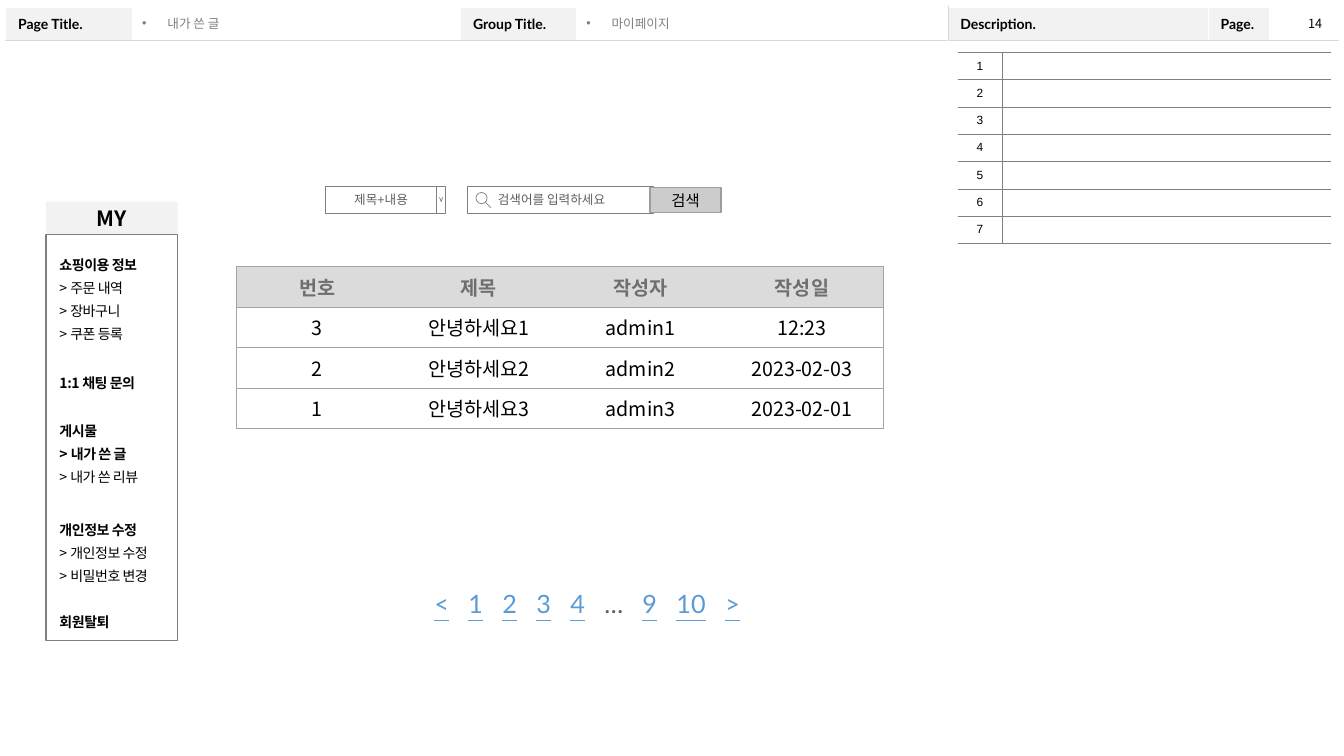
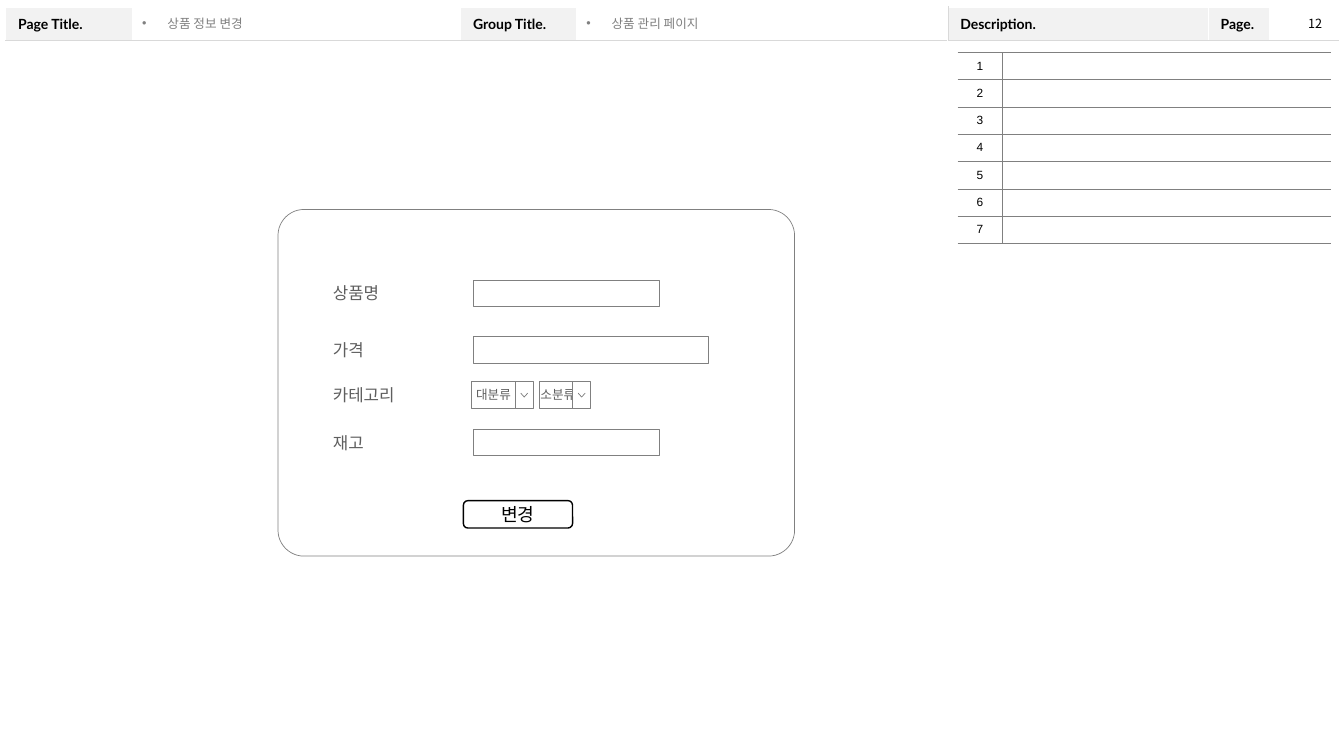
from lxml import etree
from pptx import Presentation
from pptx.dml.color import RGBColor
from pptx.enum import shapes as sh, text as tx
from pptx.oxml.ns import qn
from pptx.util import Pt

THEME = {
    "ink": "000000", "text": "5F5F5F", "soft": "808080", "head": "6F6F6F",
    "link": "5B9BD5", "pale": "F2F2F2", "rule": "D9D9D9", "white": "FFFFFF",
    "edge": "A5A5A5", "row": "DBDBDB",
    "lato": "Lato", "arial": "Arial", "noto": "Noto Sans CJK KR",
    "tiny": 8.5, "small": 9, "menu": 10, "btn": 11, "label": 12,
    "key": 13, "cell": 14, "logo": 15, "pager": 18,
}
T = THEME
# Each look: fill, line colour, line width
LOOKS = {
    "field": (T["white"], T["soft"], 0.5),
    "band": (T["pale"], None, 0),
    "frame": (None, "7F7F7F", 1),
    "btn": ("CCCCCC", "9D9D9D", 1),
    "key": (None, T["ink"], 1),
}
RECT, ROUND, OVAL = (sh.MSO_SHAPE.RECTANGLE, sh.MSO_SHAPE.ROUNDED_RECTANGLE,
                     sh.MSO_SHAPE.OVAL)
LEFT, MID = tx.PP_ALIGN.LEFT, tx.PP_ALIGN.CENTER
BASE = {"size": T["small"], "color": T["text"], "font": T["lato"],
        "bold": False, "underline": False, "track": 0, "align": LEFT,
        "pad": (0, 0, 0, 0), "lead": None, "wrap": True,
        "anchor": tx.MSO_ANCHOR.MIDDLE}


def write(frame, paras, hold=None, **opts):
    """Fill a frame; paras are lists of (text, changes); hold has the margins."""
    look = {**BASE, **opts}
    host = hold or frame
    for side, pad in zip(("left", "top", "right", "bottom"), look["pad"]):
        setattr(host, "margin_" + side, Pt(pad))
    host.vertical_anchor = look["anchor"]
    frame.word_wrap = look["wrap"]
    for i, runs in enumerate(paras):
        para = frame.paragraphs[0] if i == 0 else frame.add_paragraph()
        para.alignment = look["align"]
        if look["lead"]:
            para.line_spacing = look["lead"]
        for words, change in runs:
            form = {**look, **change}
            if not words:
                etree.SubElement(para._p, qn("a:endParaRPr"),
                                 sz=str(int(form["size"] * 100)))
                continue
            run = para.add_run()
            run.text = words
            vals = {"size": Pt(form["size"]), "name": form["font"],
                    "bold": form["bold"], "underline": form["underline"]}
            for key, val in vals.items():
                setattr(run.font, key, val)
            run.font.color.rgb = RGBColor.from_string(form["color"])
            props = run._r.get_or_add_rPr()
            etree.SubElement(props, qn("a:ea"), typeface=T["noto"])
            if form["track"]:
                props.set("spc", str(int(form["track"] * 100)))


def grid(slide, x, y, cols, rows, cell):
    """Add a table; cell(r, c) gives text, text format, fill and borders."""
    obj = slide.shapes.add_table(len(rows), len(cols), Pt(x), Pt(y),
                                 Pt(sum(cols)), Pt(sum(rows)))
    table = obj.table
    table.first_row = table.horz_banding = False
    for node in obj.element.iter(qn("a:tableStyleId")):
        node.text = "{2D5ABB26-0587-4C30-8999-92F81FD0307C}"
    for part, sizes in ((table.columns, cols), (table.rows, rows)):
        for item, size in zip(part, sizes):
            setattr(item, "width" if part is table.columns else "height",
                    Pt(size))
    for r in range(len(rows)):
        for c in range(len(cols)):
            words, form, fill, lines = cell(r, c)
            box = table.cell(r, c)
            write(box.text_frame, [[(words, {})]], box, **form)
            props = box._tc.get_or_add_tcPr()
            for side in "LRTB":
                if side in lines:
                    color, width = lines[side]
                    line = etree.SubElement(props, qn("a:ln" + side),
                                            w=str(Pt(width)))
                    solid = etree.SubElement(line, qn("a:solidFill"))
                    etree.SubElement(solid, qn("a:srgbClr"), val=color)
            if fill:
                box.fill.solid()
                box.fill.fore_color.rgb = RGBColor.from_string(fill)
            else:
                box.fill.background()
    return table


# Cells of the page header, the description list and the post list
HEADS = {0: "Page Title.", 2: "Group Title.", 4: "Description.", 5: "Page."}
POSTS = [("번호", "제목", "작성자", "작성일"),
         ("3", "안녕하세요1", "admin1", "12:23"),
         ("2", "안녕하세요2", "admin2", "2023-02-03"),
         ("1", "안녕하세요3", "admin3", "2023-02-01")]
RULE, BLANK = (T["rule"], 0.25), (T["white"], 1)
GREY, EDGE = (T["soft"], 0.25), (T["edge"], 0.5)


def_head = {"size": T["menu"], "color": T["ink"], "bold": True,
            "pad": (9, 4, 7, 4)}
def_list = {"size": T["tiny"], "color": T["ink"], "font": T["arial"],
            "align": MID, "pad": (7.2, 3, 7.2, 3)}
def_post = {"size": T["cell"], "font": T["noto"], "align": MID,
            "pad": (7.2, 3.6, 7.2, 3.6)}

head = lambda r, c: (
    "" if r else HEADS.get(c, ""), def_head,
    T["pale"] if r == 0 and c in HEADS else None,
    {"L": RULE if c == 4 else BLANK, "R": RULE if c == 3 else BLANK,
     "T": RULE if r else BLANK, "B": BLANK if r else RULE})
note = lambda r, c: (
    "" if c else str(r + 1), def_list, None,
    {"T": GREY, "B": GREY, "L" if c else "R": GREY})
post = lambda r, c: (
    POSTS[r][c],
    {**def_post, "bold": r == 0, "color": T["ink"] if r else T["head"]},
    None if r else T["row"],
    {"T": EDGE, "B": EDGE, **{k: EDGE for k, at in (("L", 0), ("R", 3))
                              if c == at}})

# Boxes of the list page: shape, look, place, text, text format
center = {"align": MID, "wrap": False}
board = [
    (RECT, "field", (232.6, 133.2, 79.2, 19), "제목+내용", center),
    (RECT, "field", (311.8, 133.2, 6.5, 19), "", {}),
    (RECT, "field", (334, 133.2, 133, 19), "검색어를 입력하세요",
     {"pad": (21.6, 0, 0, 0)}),
    (OVAL, "field", (340, 137.5, 8, 8), "", {}),
    (RECT, "btn", (464.4, 134, 50.6, 18), "검색",
     {**center, "size": T["btn"], "color": T["ink"]}),
    (RECT, "band", (33, 144, 94, 24), "MY",
     {**center, "size": T["logo"], "font": T["noto"], "bold": True,
      "color": T["ink"], "track": -0.1}),
    (RECT, "frame", (33, 167.6, 94, 290), "", {}),
]
marks = [[(314, 141), (315.2, 144), (316.2, 141)],
         [(346.6, 144.3), (350.6, 148.3)]]

# Boxes of the form page, row by row
form = [(ROUND, "field", (198.6, 149.6, 369, 247.6), "", {"turn": 0.075})]
for name, y, wide in (("상품명", 200, 133), ("가격", 240.4, 168),
                      ("카테고리", 272.6, 0), ("재고", 306.6, 133)):
    form.append((None, None, (232, y, 100, 19), name,
                 {"size": T["label"], "pad": (5.8, 0, 0, 0)}))
    if wide:
        form.append((RECT, "field", (338, y, wide, 19), "", {}))
arrows = []
for name, x, wide, tip in (("대분류", 337, 31, 368), ("소분류", 385.2, 26.6, 409)):
    form += [(RECT, "field", (x, 272.6, wide, 19), name, center),
             (RECT, "field", (tip, 272.6, 13, 19), "", {})]
    arrows.append([(tip + 4, 280.8), (tip + 6.5, 283.6), (tip + 9, 280.8)])
form.append((ROUND, "key", (331, 357.6, 78, 19.6), "변경",
             {**center, "size": T["key"], "color": T["ink"], "turn": 0.167}))

deck = Presentation()
deck.slide_width, deck.slide_height = Pt(960), Pt(540)
pages = [("내가 쓴 글", "마이페이지", "14", board, marks),
         ("상품 정보 변경", "상품 관리 페이지", "12", form, arrows)]
for title, group, number, boxes, strokes in pages:
    slide = deck.slides.add_slide(deck.slide_layouts[5])

    # Header band, with page and group names
    table = grid(slide, 4, 5, [91, 234, 83, 265, 186, 44, 49], [24, 480], head)
    for first, last in ((0, 3), (4, 6)):
        table.cell(1, first).merge(table.cell(1, last))
    names = ((slide.shapes.title, 94.4, 233, title),
             (slide.shapes.add_textbox(0, 0, 0, 0), 411.8, 262, group))
    for box, x, wide, words in names:
        for key, val in zip(("left", "top", "width", "height"),
                            (x, 8.2, wide, 17)):
            setattr(box, key, Pt(val))
        box.text_frame.auto_size = tx.MSO_AUTO_SIZE.NONE
        write(box.text_frame, [[(words, {})]], color=T["soft"],
              font=T["arial"], pad=(7.2, 0, 7.2, 0))
        props = box.text_frame.paragraphs[0]._p.get_or_add_pPr()
        props.set("marL", str(Pt(18)))
        props.set("indent", str(Pt(-18)))
        etree.SubElement(props, qn("a:buFont"), typeface=T["arial"])
        etree.SubElement(props, qn("a:buChar"), char="•")

    # Description list and page number
    grid(slide, 684, 37.4, [32, 235], [19.5] * 7, note)
    box = slide.shapes.add_textbox(Pt(927.4), Pt(8.6), Pt(25), Pt(17))
    write(box.text_frame, [[(number, {})]], color=T["ink"], font=T["noto"],
          pad=(7.2, 0, 0, 0))

    # Fields, labels and buttons
    for kind, look, place, words, opts in boxes:
        place = [Pt(val) for val in place]
        opts = dict(opts)
        turn = opts.pop("turn", None)
        if kind is None:
            box = slide.shapes.add_textbox(*place)
        else:
            box = slide.shapes.add_shape(kind, *place)
            box.shadow.inherit = False
            fill, line, width = LOOKS[look]
            for part, color in ((box.fill, fill), (box.line.fill, line)):
                if color:
                    part.solid()
                    part.fore_color.rgb = RGBColor.from_string(color)
                else:
                    part.background()
            if line:
                box.line.width = Pt(width)
            if turn:
                box.adjustments[0] = turn
        if words:
            write(box.text_frame, [[(words, {})]], **opts)

    # Arrow tips and the handle of the search glass
    for points in strokes:
        dots = [(Pt(x), Pt(y)) for x, y in points]
        pen = slide.shapes.build_freeform(*dots[0])
        pen.add_line_segments(dots[1:], close=False)
        mark = pen.convert_to_shape()
        mark.shadow.inherit = False
        mark.fill.background()
        mark.line.color.rgb = RGBColor.from_string(T["soft"])
        mark.line.width = Pt(0.5)

# Post list
slide = deck.slides[0]
grid(slide, 169, 190.4, [115.4] * 4, [28.9] * 4, post)

# Side menu: the first line of a group and the current page are bold
menu = [(178.9, ["쇼핑이용 정보", "> 주문 내역", "> 장바구니", "> 쿠폰 등록"]),
        (263.2, ["1:1 채팅 문의"]),
        (297.4, ["게시물", "> 내가 쓴 글", "> 내가 쓴 리뷰"]),
        (368.2, ["개인정보 수정", "> 개인정보 수정", "> 비밀번호 변경"]),
        (433.9, ["회원탈퇴"])]
for y, items in menu:
    box = slide.shapes.add_textbox(Pt(42.5), Pt(y), Pt(82),
                                   Pt(16.4 * len(items)))
    paras = []
    for item in items:
        bold = {"bold": item[0] != ">" or item == "> 내가 쓴 글"}
        if item[0] == ">":
            paras.append([("> ", bold), (item[2:], {**bold, "track": -0.3})])
        else:
            paras.append([(item, {**bold, "track": -0.3})])
    write(box.text_frame, paras, size=T["menu"], color=T["ink"],
          font=T["noto"], lead=Pt(16.4), anchor=tx.MSO_ANCHOR.TOP)

# Pager, set on tab stops
box = slide.shapes.add_textbox(Pt(304.5), Pt(417.6), Pt(236), Pt(27.4))
runs = []
for item in ("<", "1", "2", "3", "4", "…", "9", "10", ">"):
    if runs:
        runs.append(("\t", {}))
    runs.append((item, {"color": T["text"]} if item == "…"
                 else {"underline": True}))
write(box.text_frame, [runs], size=T["pager"], color=T["link"],
      pad=(5.8, 2.9, 5.8, 2.9))
props = box.text_frame.paragraphs[0]._p.get_or_add_pPr()
tabs = etree.SubElement(props, qn("a:tabLst"))
for stop in [24.3 * n for n in range(1, 6)] + [148.6, 172.9, 207.8]:
    etree.SubElement(tabs, qn("a:tab"), pos=str(Pt(stop)), algn="l")

deck.save("out.pptx")
